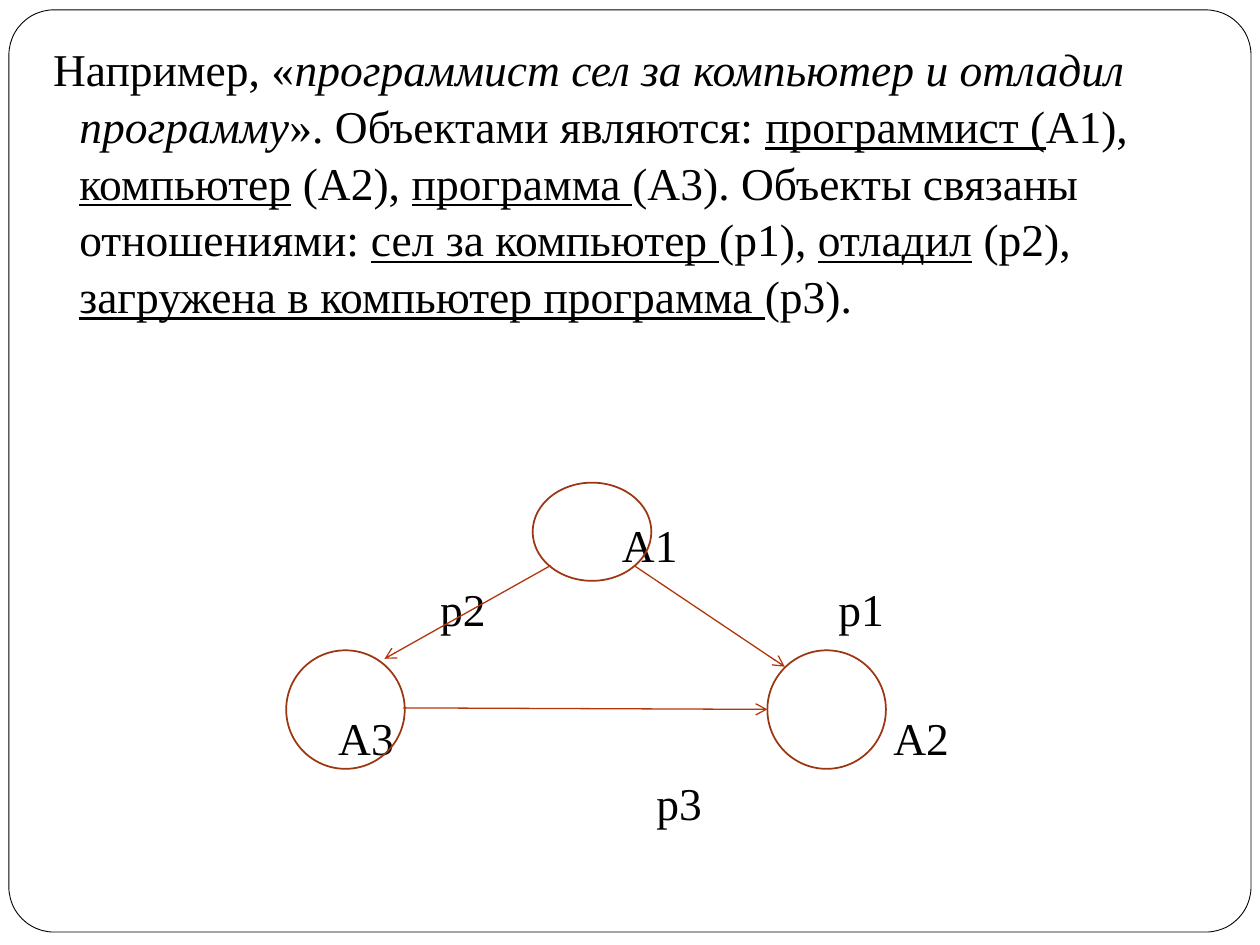
from lxml import etree
from pptx import Presentation
from pptx.dml.color import RGBColor
from pptx.enum.shapes import MSO_CONNECTOR, MSO_SHAPE
from pptx.enum.text import MSO_ANCHOR, PP_ALIGN
from pptx.oxml.ns import qn
from pptx.util import Cm, Pt


def color(code):
    return RGBColor.from_string(code)


class SlideWriter:
    FONT, SIZE = "Times New Roman", 26
    INK, PAPER, NODE, ARROW = "000000", "FFFFFF", "9C3511", "B1360B"

    def __init__(self, page):
        self.page = page

    def shape(self, kind, place, line, width, fill=None):
        shape = self.page.shapes.add_shape(kind, *map(Cm, place))
        shape.shadow.inherit = False
        if fill:
            shape.fill.solid()
            shape.fill.fore_color.rgb = color(fill)
        else:
            shape.fill.background()
        shape.line.color.rgb = color(line)
        shape.line.width = Pt(width)
        return shape

    def frame(self, *place):
        shape = self.shape(MSO_SHAPE.ROUNDED_RECTANGLE, place, self.INK, 0.5, self.PAPER)
        shape.adjustments[0] = 0.049

    def node(self, *place):
        self.shape(MSO_SHAPE.FLOWCHART_CONNECTOR, place, self.NODE, 1)

    def text_box(self, *place):
        """Add a wrapping box and return its text frame with a styled first paragraph."""
        frame = self.page.shapes.add_textbox(*map(Cm, place)).text_frame
        frame.word_wrap = True
        font = frame.paragraphs[0].font
        font.name, font.size = self.FONT, Pt(self.SIZE)
        font.color.rgb = color(self.INK)
        return frame

    def body(self, place, spans, margin, indent):
        """Write (text, style) spans, where style is "", "italic" or "underline"."""
        para = self.text_box(*place).paragraphs[0]
        para.line_spacing = 1.04
        properties = para._p.get_or_add_pPr()
        properties.set("marL", str(Cm(margin)))
        properties.set("indent", str(Cm(indent)))
        for text, style in spans:
            span = para.add_run()
            span.text = text
            if style:
                setattr(span.font, style, True)

    def label(self, text, center_x, center_y, width=2, height=1.2):
        frame = self.text_box(center_x - width / 2, center_y - height / 2, width, height)
        frame.margin_left = frame.margin_right = 0
        frame.margin_top = frame.margin_bottom = 0
        frame.vertical_anchor = MSO_ANCHOR.MIDDLE
        para = frame.paragraphs[0]
        para.text = text
        para.alignment = PP_ALIGN.CENTER

    def arrow(self, *ends):
        arrow = self.page.shapes.add_connector(MSO_CONNECTOR.STRAIGHT, *map(Cm, ends))
        arrow.line.color.rgb = color(self.ARROW)
        arrow.line.width = Pt(0.75)
        etree.SubElement(arrow.line._get_or_add_ln(), qn("a:tailEnd"), type="arrow")
        etree.SubElement(arrow._element.spPr, qn("a:effectLst"))


SPANS = [
    ("Например, «", ""),
    ("программист сел за компьютер и отладил программу", "italic"),
    ("». Объектами являются: ", ""),
    ("программист (", "underline"),
    ("А1), ", ""),
    ("компьютер", "underline"),
    (" (А2), ", ""),
    ("программа ", "underline"),
    ("(А3). Объекты связаны отношениями: ", ""),
    ("сел за компьютер ", "underline"),
    ("(р1), ", ""),
    ("отладил", "underline"),
    (" (р2), ", ""),
    ("загружена в компьютер программа ", "underline"),
    ("(р3).", ""),
]
LABEL_TOP, LABEL_PITCH = 10.97, 1.3
# text, centre, row
LABELS = [
    ("А1", 13.1, 0),
    ("р2", 9.33, 1),
    ("р1", 17.36, 1),
    ("А3", 7.38, 3),
    ("А2", 18.57, 3),
    ("р3", 13.69, 4),
]
NODE_SIZE = 2.39
NODES = [
    (5.77, 13.11, NODE_SIZE, NODE_SIZE),
    (10.74, 9.73, NODE_SIZE, 1.98),
    (15.47, 13.11, NODE_SIZE, NODE_SIZE),
]
ARROWS = [
    (11.1, 11.4, 7.75, 13.28),
    (12.78, 11.4, 15.82, 13.44),
    (8.13, 14.27, 15.47, 14.3),
]


def main():
    deck = Presentation()
    deck.slide_width, deck.slide_height = Cm(25.4), Cm(19.05)
    writer = SlideWriter(deck.slides.add_slide(deck.slide_layouts[6]))
    writer.frame(0.18, 0.2, 25.04, 18.59)
    writer.body((0.58, 0.66, 24.2, 6), SPANS, margin=0.77, indent=-0.53)
    for text, center, row in LABELS:
        writer.label(text, center, LABEL_TOP + row * LABEL_PITCH)
    for node in NODES:
        writer.node(*node)
    for ends in ARROWS:
        writer.arrow(*ends)
    deck.save("out.pptx")


if __name__ == "__main__":
    main()
